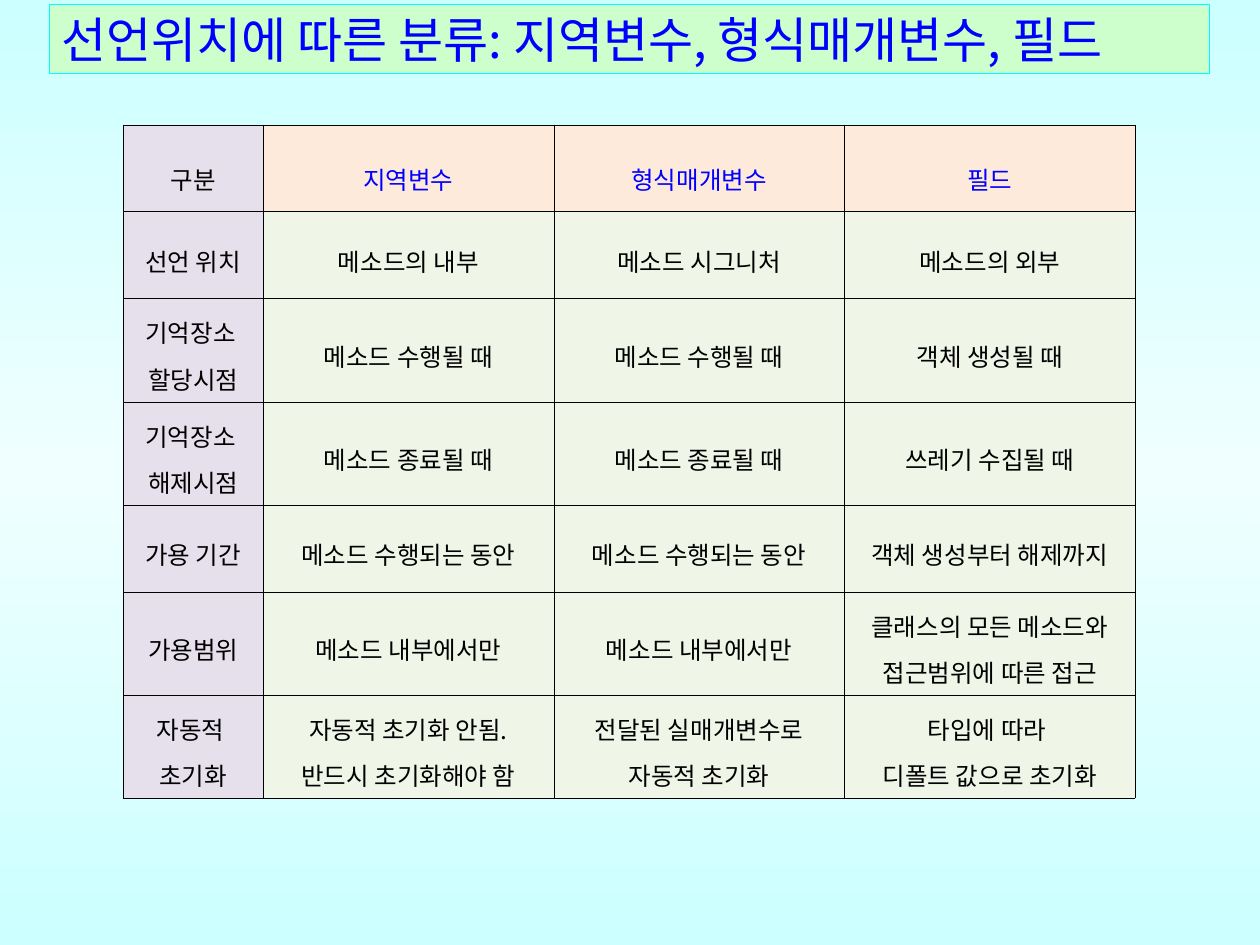
from copy import deepcopy

from lxml.etree import SubElement
from pptx import Presentation
from pptx.dml.color import RGBColor as RGB
from pptx.enum.shapes import MSO_SHAPE as SHAPE
from pptx.enum.text import MSO_ANCHOR as ANCHOR, PP_ALIGN as ALIGN
from pptx.oxml.ns import qn
from pptx.util import Inches, Pt

W, H = Inches(10), Inches(7.5)
FONT = "Noto Sans CJK KR"
COLORS = {
    "edge": "CCFFFF", "middle": "F0FFFF", "banner": "CCFFCC", "banner_line": "00FFFF",
    "blue": "0000FF", "black": "000000", "label": "E6E0EC", "header": "FDEADA", "body": "EFF6E7",
}
TITLE_BOX = (0.039, 0.005, 0.921, 0.073)
TABLE_BOX = (0.098, 0.132, 0.803, 0.713)
COL_SHARES = (1.11, 2.31, 2.31, 2.31)
ROW_SHARES = (0.69, 0.69, 0.82, 0.82, 0.69, 0.82, 0.82)
CELL_FORMAT = {
    "vertical_anchor": ANCHOR.MIDDLE,
    "margin_left": Inches(0.07), "margin_right": Inches(0.07),
    "margin_top": Inches(0.02), "margin_bottom": Inches(0.02),
}
TITLE_FORMAT = {
    "vertical_anchor": ANCHOR.MIDDLE, "word_wrap": True,
    "margin_left": Inches(0.1), "margin_right": Inches(0.1),
    "margin_top": Inches(0.05), "margin_bottom": Inches(0.05),
}
TITLE = "선언위치에 따른 분류: 지역변수, 형식매개변수, 필드"
ROWS = [
    ["구분", "지역변수", "형식매개변수", "필드"],
    ["선언 위치", "메소드의 내부", "메소드 시그니처", "메소드의 외부"],
    ["기억장소 \n할당시점", "메소드 수행될 때", "메소드 수행될 때", "객체 생성될 때"],
    ["기억장소 \n해제시점", "메소드 종료될 때", "메소드 종료될 때", "쓰레기 수집될 때"],
    ["가용 기간", "메소드 수행되는 동안", "메소드 수행되는 동안", "객체 생성부터 해제까지"],
    ["가용범위", "메소드 내부에서만", "메소드 내부에서만", "클래스의 모든 메소드와 접근범위에 따른 접근"],
    ["자동적 \n초기화", "자동적 초기화 안됨.\n반드시 초기화해야 함",
     "전달된 실매개변수로 자동적 초기화", "타입에 따라 \n디폴트 값으로 초기화"],
]


def color(name):
    return RGB.from_string(COLORS[name])


def place(box):
    return [int(share * size) for share, size in zip(box, (W, H, W, H))]


def apply(obj, values):
    for name, value in values.items():
        setattr(obj, name, value)


def paint(fill, name):
    fill.solid()
    fill.fore_color.rgb = color(name)


def write(tf, text, size, name, **paragraph):
    tf.text = text
    for p in tf.paragraphs:
        apply(p, paragraph)
        for r in p.runs:
            apply(r.font, {"size": Pt(size), "name": FONT})
            r.font.color.rgb = color(name)
            SubElement(r.font._element, qn("a:ea"), typeface=FONT)


def add_background(slide):
    fill = slide.background.fill
    fill.gradient()
    fill.gradient_angle = 90
    stops = slide.element.find(".//" + qn("a:gsLst"))
    stops.insert(1, deepcopy(stops[0]))
    for stop, position, name in zip(fill.gradient_stops, (0, 0.5, 1), ("edge", "middle", "edge")):
        stop.position = position
        stop.color.rgb = color(name)


def add_title(slide, box):
    sp = slide.shapes.add_shape(SHAPE.RECTANGLE, *place(box))
    sp.shadow.inherit = False
    paint(sp.fill, "banner")
    paint(sp.line.fill, "banner_line")
    sp.line.width = Pt(0.25)
    apply(sp.text_frame, TITLE_FORMAT)
    write(sp.text_frame, TITLE, 28, "blue", alignment=ALIGN.LEFT)


def add_borders(cell):
    tc_pr = cell._tc.get_or_add_tcPr()
    for i, side in enumerate(("lnL", "lnR", "lnT", "lnB")):
        ln = SubElement(tc_pr, qn("a:" + side), w=str(Pt(0.25)))
        fill = SubElement(ln, qn("a:solidFill"))
        SubElement(fill, qn("a:srgbClr"), val=COLORS["black"])
        tc_pr.insert(i, ln)


def add_comparison(slide, box):
    x, y, w, h = place(box)
    table = slide.shapes.add_table(len(ROWS), len(COL_SHARES), x, y, w, h).table
    apply(table, {"first_row": False, "horz_banding": False})
    for col, share in zip(table.columns, COL_SHARES):
        col.width = int(w * share / sum(COL_SHARES))
    for row, share in zip(table.rows, ROW_SHARES):
        row.height = int(h * share / sum(ROW_SHARES))
    for i, texts in enumerate(ROWS):
        for j, text in enumerate(texts):
            cell = table.cell(i, j)
            kind = "label" if j == 0 else "header" if i == 0 else "body"
            apply(cell, CELL_FORMAT)
            paint(cell.fill, kind)
            add_borders(cell)
            write(cell.text_frame, text, 14, "blue" if kind == "header" else "black",
                  alignment=ALIGN.CENTER, line_spacing=1.3 if i else 1.6)


def main():
    prs = Presentation()
    apply(prs, {"slide_width": W, "slide_height": H})
    slide = prs.slides.add_slide(prs.slide_layouts[6])
    add_background(slide)
    add_title(slide, TITLE_BOX)
    add_comparison(slide, TABLE_BOX)
    prs.save("out.pptx")


if __name__ == "__main__":
    main()
